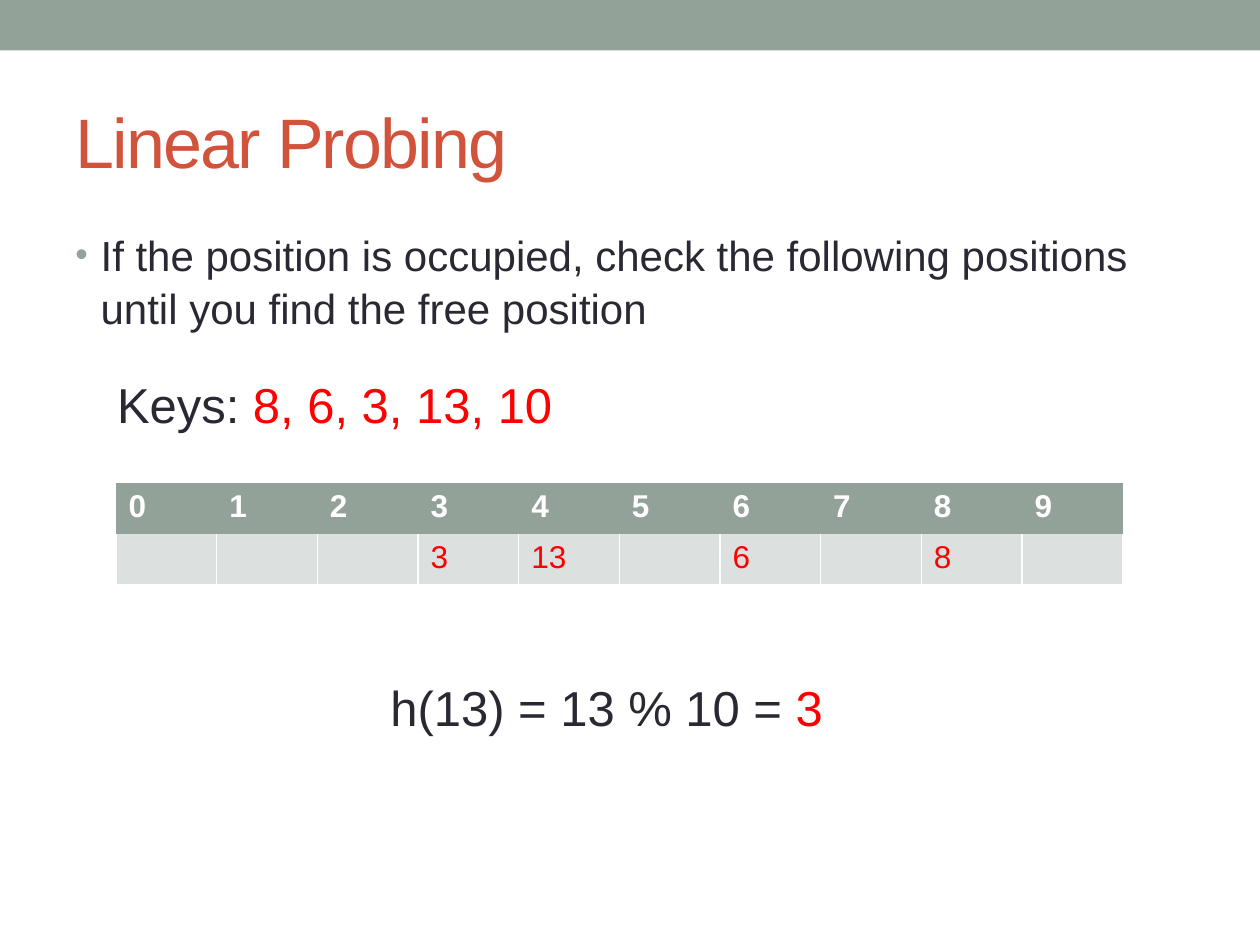
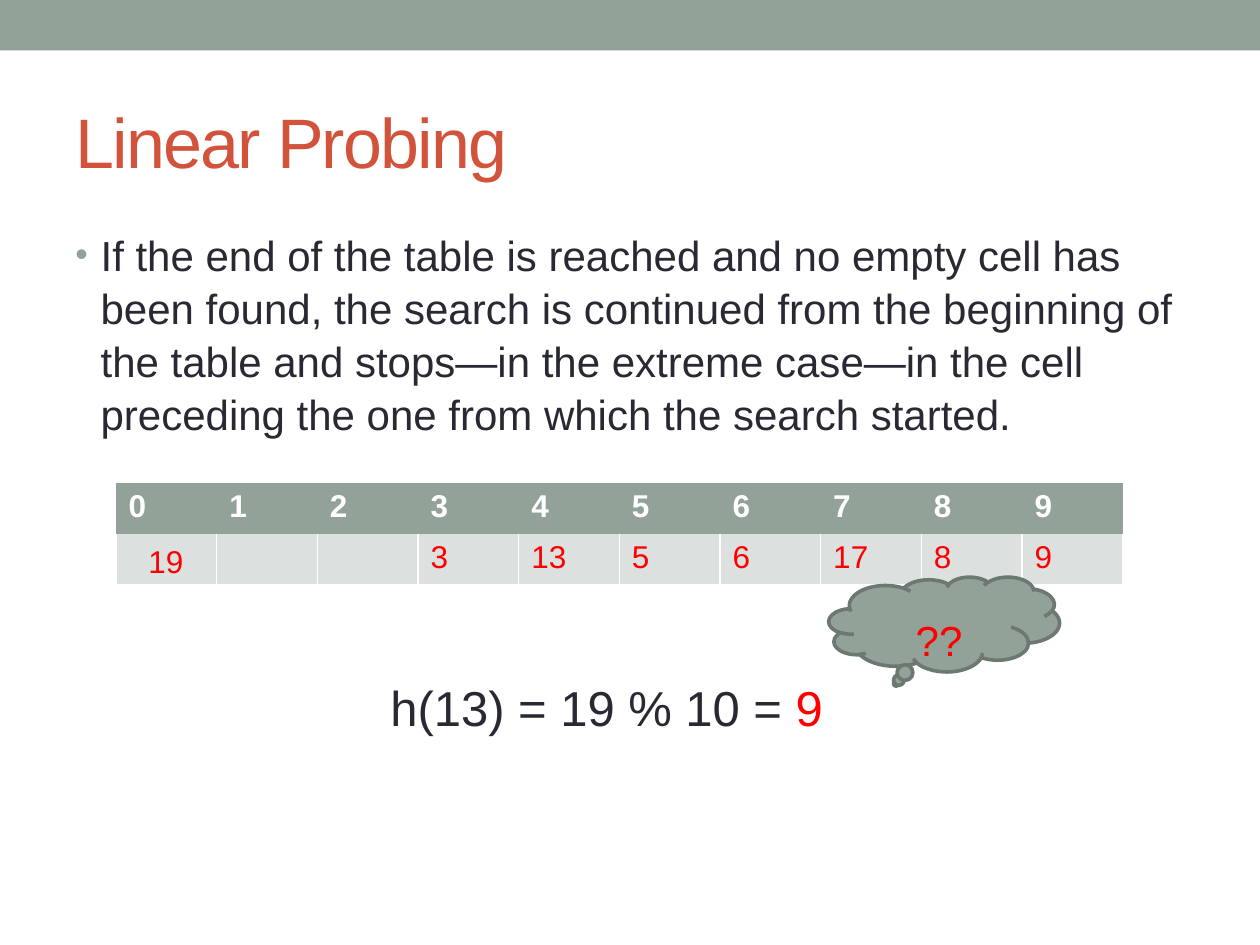
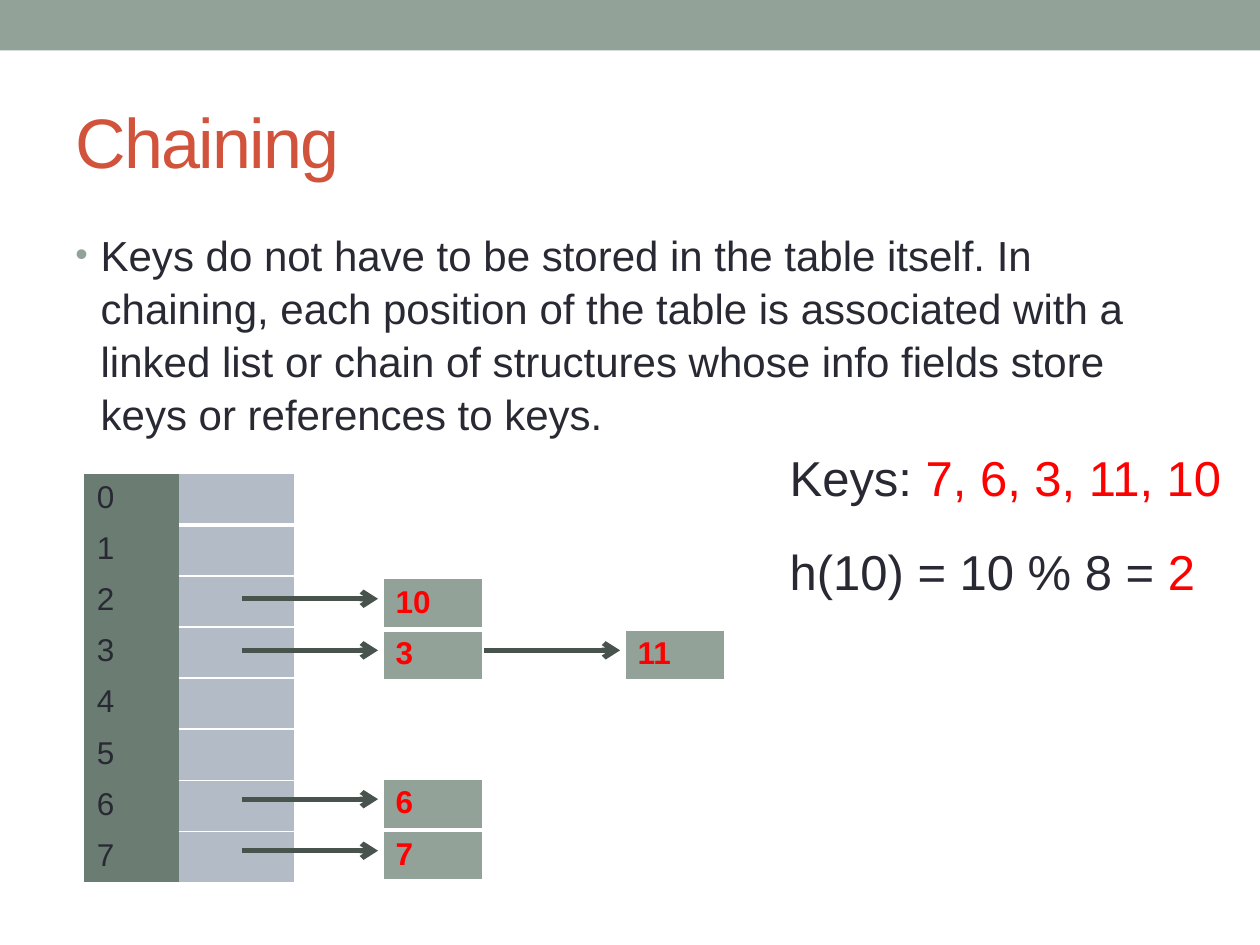
"""Build three slides on hash collisions: linear probing and chaining."""
import lxml.etree
import pptx
import pptx.dml.color
import pptx.enum.shapes
import pptx.enum.text
import pptx.oxml.ns
import pptx.util

Cm = pptx.util.Cm
Pt = pptx.util.Pt
qn = pptx.oxml.ns.qn

COLORS = {
    "sage": "93A299", "moss": "6B7D72", "mist": "DCE0DE", "steel": "B3BBC6",
    "rust": "D2533C", "ink": "292934", "red": "FF0000", "white": "FFFFFF",
    "edge": "6D7871", "arrow": "47534C",
}
NO_STYLE = "{2D5ABB26-0587-4C30-8999-92F81FD0307C}"
BORDER_TAGS = {"l": "a:lnL", "r": "a:lnR", "t": "a:lnT", "b": "a:lnB"}


def rgb(name):
    return pptx.dml.color.RGBColor.from_string(COLORS[name])


def child(parent, tag, **attrs):
    return lxml.etree.SubElement(parent, qn(tag), attrs)


class Deck:
    def __init__(self):
        self.prs = pptx.Presentation()
        self.prs.slide_width = Cm(25.4)
        self.prs.slide_height = Cm(19.05)
        self.s = None

    def slide(self, title, body):
        self.s = self.prs.slides.add_slide(self.prs.slide_layouts[6])
        self.shape("RECTANGLE", (0, 0, 25.4, 1.02), "sage")
        tf = self.text((1.27, 1.47, 22.86, 2.74), [(title, "rust")], 40)
        tf.vertical_anchor = pptx.enum.text.MSO_ANCHOR.MIDDLE
        tf.paragraphs[0].runs[0].font._element.set("spc", "-100")
        tf = self.text((1.27, 4.45, 22.86, 13.54), [(body, "ink")], 24)
        self.bullet(tf.paragraphs[0])

    def bullet(self, p):
        p.line_spacing = 1.05
        pPr = p._p.get_or_add_pPr()
        pPr.set("marL", str(Cm(0.51)))
        pPr.set("indent", str(-Cm(0.51)))
        child(child(pPr, "a:buClr"), "a:srgbClr", val=COLORS["sage"])
        child(pPr, "a:buSzPct", val="85000")
        child(pPr, "a:buFont", typeface="Arial")
        child(pPr, "a:buChar", char="•")

    def runs(self, p, parts, size, bold=False):
        for text, color in parts:
            r = p.add_run()
            r.text = text
            style = {"name": "Arial", "size": Pt(size), "bold": bold}
            for key, value in style.items():
                setattr(r.font, key, value)
            r.font.color.rgb = rgb(color)

    def text(self, box, parts, size):
        tf = self.s.shapes.add_textbox(*map(Cm, box)).text_frame
        tf.word_wrap = True
        self.runs(tf.paragraphs[0], parts, size)
        return tf

    def shape(self, kind, box, fill, line=None, width=0):
        kind = getattr(pptx.enum.shapes.MSO_SHAPE, kind)
        sp = self.s.shapes.add_shape(kind, *map(Cm, box))
        sp.shadow.inherit = False
        sp.fill.solid()
        sp.fill.fore_color.rgb = rgb(fill)
        if line:
            sp.line.color.rgb = rgb(line)
            sp.line.width = Pt(width)
        else:
            sp.line.fill.background()

    def table(self, left, top, widths, rows):
        tb = self.s.shapes.add_table(
            len(rows), len(widths), Cm(left), Cm(top),
            Cm(sum(widths)), Cm(1.03 * len(rows))).table
        tb.first_row = tb.horz_banding = False
        tb._tbl.tblPr[0].text = NO_STYLE
        for col, width in zip(tb.columns, widths):
            col.width = Cm(width)
        for i, row in enumerate(rows):
            tb.rows[i].height = Cm(1.03)
            for j, cell in enumerate(row):
                self.cell(tb.cell(i, j), **cell)

    def cell(self, c, text, fill, color="ink", bold=False, borders=None):
        if text:
            self.runs(c.text_frame.paragraphs[0], [(text, color)], 18, bold)
        tcPr = c._tc.get_or_add_tcPr()
        for side, width in (borders or {}).items():
            ln = child(tcPr, BORDER_TAGS[side], w=str(Pt(width)))
            child(child(ln, "a:solidFill"), "a:srgbClr", val=COLORS["white"])
        c.fill.solid()
        c.fill.fore_color.rgb = rgb(fill)

    def arrow(self, x1, x2, y):
        cn = self.s.shapes.add_connector(
            pptx.enum.shapes.MSO_CONNECTOR.STRAIGHT,
            Cm(x1), Cm(y), Cm(x2), Cm(y))
        cn.line.color.rgb = rgb("arrow")
        cn.line.width = Pt(3)
        child(cn.line._get_or_add_ln(), "a:tailEnd", type="arrow")
        child(cn._element.spPr, "a:effectLst")

    def hash_table(self, keys):
        edges = {"l": 1, "r": 1, "b": 1}
        head = [{"text": str(i), "fill": "sage", "color": "white", "bold": True}
                for i in range(10)]
        body = [{"text": str(keys.get(i, "")), "fill": "mist", "color": "red",
                 "borders": edges} for i in range(10)]
        self.table(2.34, 9.73, [2.03] * 10, [head, body])

    def bucket_table(self):
        rows = [[{"text": str(i), "fill": "moss"},
                 {"text": "", "fill": "steel",
                  "borders": {"r": 1, "t": 1 if i != 1 else 3,
                              "b": 1 if i else 3}}]
                for i in range(8)]
        self.table(1.7, 9.55, [1.9, 2.34], rows)

    def node(self, key, left, top):
        self.arrow(left - 2.85, left - 0.1, top + 0.41)
        self.table(left, top, [2.01], [[{
            "text": key, "fill": "sage", "color": "red", "bold": True,
            "borders": {"l": 1, "r": 1, "t": 1, "b": 3}}]])

    def formula(self, box, label, result):
        self.text(box, [(label, "ink"), (result, "red")], 28)


def main():
    d = Deck()
    hash_box = (7.62, 13.54, 12.7, 1.45)

    d.slide("Linear Probing",
            "If the position is occupied, check the following positions "
            "until you find the free position")
    d.hash_table({3: 3, 4: 13, 6: 6, 8: 8})
    d.formula(hash_box, "h(13) = 13 % 10 = ", "3")
    d.formula((2.11, 7.42, 11.43, 1.45), "Keys: ", "8, 6, 3, 13, 10")

    d.slide("Linear Probing",
            "If the end of the table is reached and no empty cell has been "
            "found, the search is continued from the beginning of the table "
            "and stops—in the extreme case—in the cell preceding the one "
            "from which the search started.")
    d.hash_table({3: 3, 4: 13, 5: 5, 6: 6, 7: 17, 8: 8, 9: 9})
    d.formula(hash_box, "h(13) = 19 % 10 = ", "9")
    d.shape("CLOUD_CALLOUT", (16.71, 11.63, 4.65, 1.91), "sage", "edge", 2.08)
    d.text((18.21, 12.27, 1.47, 1.27), [("??", "red")], 24)
    d.text((2.74, 10.8, 1.27, 1.02), [("19", "red")], 18)

    d.slide("Chaining",
            "Keys do not have to be stored in the table itself. In chaining, "
            "each position of the table is associated with a linked list or "
            "chain of structures whose info fields store keys or references "
            "to keys.")
    d.bucket_table()
    d.formula((15.67, 10.8, 9.53, 1.45), "h(10) = 10 % 8 = ", "2")
    d.formula((15.67, 8.89, 9.73, 1.45), "Keys: ", "7, 6, 3, 11, 10")
    first, second = 7.72, 12.6
    for key, left, top in (("7", first, 16.74), ("6", first, 15.7),
                           ("3", first, 12.7), ("11", second, 12.7),
                           ("10", first, 11.66)):
        d.node(key, left, top)

    d.prs.save("out.pptx")


if __name__ == "__main__":
    main()
